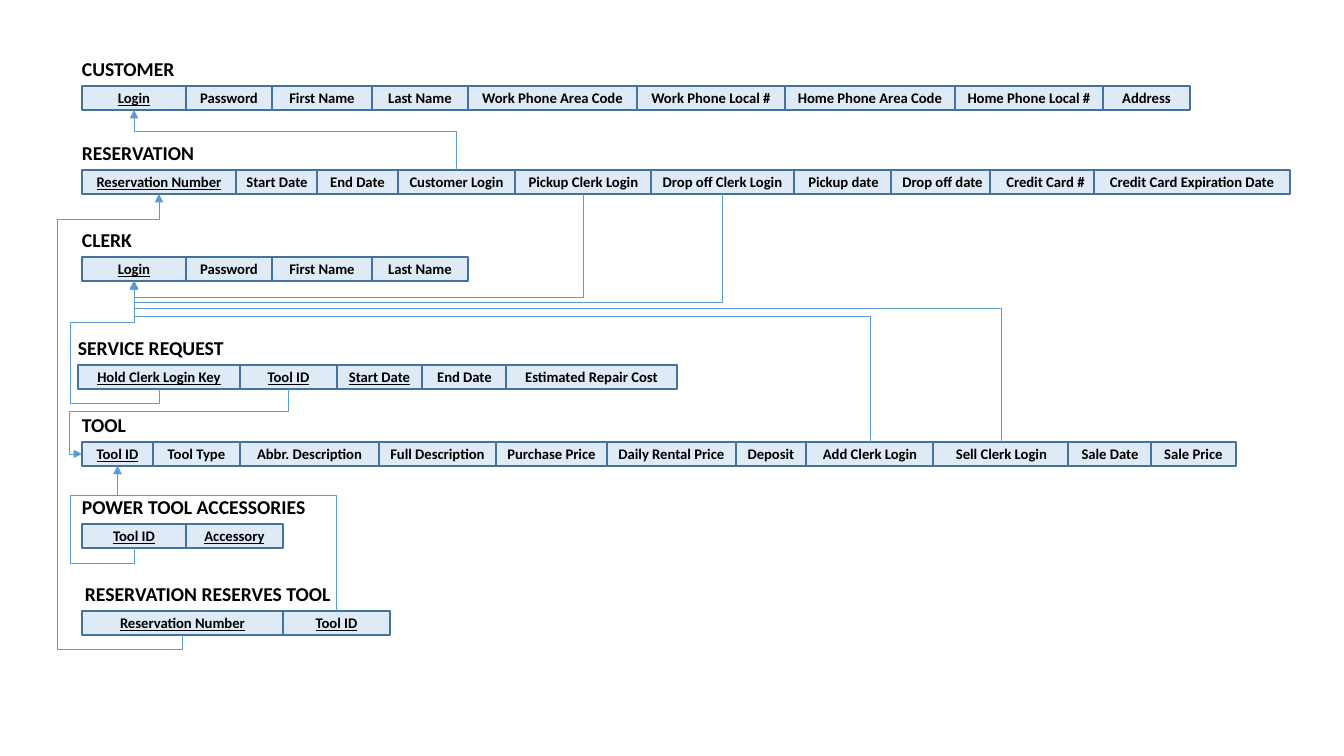
"""Build a relational schema slide for a tool rental database."""
import pptx
import pptx.dml.color
import pptx.enum.shapes
import pptx.enum.text
import pptx.oxml
import pptx.oxml.ns
import pptx.util

PIXEL = 914400 / 100.8
COLORS = {"cell": "DEEBF7", "border": "43739E", "link": "5B9BD5", "text": "000000"}
CELL_HEIGHT, TITLE_RISE, TITLE_HEIGHT = 24, 34, 34
TOP, LEFT, BOTTOM = 0, 1, 2
CELL_FONT = {"name": "Calibri", "size": pptx.util.Pt(10.5), "bold": True}
TITLE_FONT = {"name": "Calibri", "size": pptx.util.Pt(14), "bold": True}
CELL_FRAME = {"margin_left": 0, "margin_right": 0, "margin_top": 0, "margin_bottom": 0,
              "word_wrap": True, "vertical_anchor": pptx.enum.text.MSO_ANCHOR.MIDDLE}
TITLE_FRAME = {"word_wrap": False, "auto_size": pptx.enum.text.MSO_AUTO_SIZE.SHAPE_TO_FIT_TEXT}

TABLES = [
    ("CUSTOMER", 72, 114, 86, 1, [
        ("Login", 82, 104), ("Password", 186, 86), ("First Name", 272, 100),
        ("Last Name", 372, 96), ("Work Phone Area Code", 468, 169),
        ("Work Phone Local #", 637, 148), ("Home Phone Area Code", 785, 170),
        ("Home Phone Local #", 955, 148), ("Address", 1103, 87)]),
    ("RESERVATION", 72, 134, 170, 1, [
        ("Reservation Number", 82, 154), ("Start Date", 236, 82), ("End Date", 317, 81),
        ("Customer Login", 398, 117), ("Pickup Clerk Login", 515, 137),
        ("Drop off Clerk Login", 651, 143), ("Pickup date", 794, 99),
        ("Drop off date", 891, 103), ("Credit Card #", 990, 111),
        ("Credit Card Expiration Date", 1094, 196)]),
    ("CLERK", 72, 71, 257, 1, [
        ("Login", 82, 104), ("Password", 186, 86), ("First Name", 272, 100),
        ("Last Name", 372, 96)]),
    ("SERVICE REQUEST", 68, 167, 365, 3, [
        ("Hold Clerk Login Key", 78, 162), ("Tool ID", 240, 97), ("Start Date", 337, 85),
        ("End Date", 422, 85), ("Estimated Repair Cost", 506, 171)]),
    ("TOOL", 72, 65, 442, 1, [
        ("Tool ID", 82, 71), ("Tool Type", 153, 87), ("Abbr. Description", 240, 139),
        ("Full Description", 379, 117), ("Purchase Price", 496, 111),
        ("Daily Rental Price", 607, 129), ("Deposit", 736, 70),
        ("Add Clerk Login", 806, 128), ("Sell Clerk Login", 933, 137),
        ("Sale Date", 1068, 84), ("Sale Price", 1151, 85)]),
    ("POWER TOOL ACCESSORIES", 72, 246, 524, 2, [
        ("Tool ID", 82, 104), ("Accessory", 186, 97)]),
    ("RESERVATION RESERVES TOOL", 75, 268, 611, 2, [
        ("Reservation Number", 82, 201), ("Tool ID", 283, 107)]),
]

CUSTOMER_KEY = ("CUSTOMER", "Login")
RESERVATION_KEY = ("RESERVATION", "Reservation Number")
CLERK_KEY = ("CLERK", "Login")
TOOL_KEY = ("TOOL", "Tool ID")
LINKS = [
    (("RESERVATION", "Customer Login"), TOP, CUSTOMER_KEY, BOTTOM, [131]),
    (("RESERVATION", "Pickup Clerk Login"), BOTTOM, CLERK_KEY, BOTTOM, [297]),
    (("RESERVATION", "Drop off Clerk Login"), BOTTOM, CLERK_KEY, BOTTOM, [302]),
    (("TOOL", "Add Clerk Login"), TOP, CLERK_KEY, BOTTOM, [316]),
    (("TOOL", "Sell Clerk Login"), TOP, CLERK_KEY, BOTTOM, [308]),
    (("SERVICE REQUEST", "Hold Clerk Login Key"), BOTTOM, CLERK_KEY, BOTTOM, [403, 70, 322]),
    (("SERVICE REQUEST", "Tool ID"), BOTTOM, TOOL_KEY, LEFT, [411, 69]),
    (("POWER TOOL ACCESSORIES", "Tool ID"), BOTTOM, TOOL_KEY, BOTTOM, [564, 70, 495]),
    (("RESERVATION RESERVES TOOL", "Reservation Number"), BOTTOM, RESERVATION_KEY, BOTTOM,
     [649, 57, 219]),
    (("RESERVATION RESERVES TOOL", "Tool ID"), TOP, TOOL_KEY, BOTTOM, [495]),
]


def emu(*pixels):
    return [round(pixel * PIXEL) for pixel in pixels]


def write(box, text, frame_format, font_format):
    for name, value in frame_format.items():
        setattr(box.text_frame, name, value)
    para = box.text_frame.paragraphs[0]
    span = para.add_run()
    span.text = text
    for name, value in font_format.items():
        setattr(span.font, name, value)
    span.font.color.rgb = pptx.dml.color.RGBColor.from_string(COLORS["text"])
    return para


deck = pptx.Presentation()
deck.slide_width, deck.slide_height = emu(1344, 756)
page = deck.slides.add_slide(deck.slide_layouts[6])

cells = {}
for title, title_left, title_width, top, key_count, columns in TABLES:
    box = page.shapes.add_textbox(*emu(title_left, top - TITLE_RISE, title_width, TITLE_HEIGHT))
    write(box, title, TITLE_FRAME, TITLE_FONT)
    for index, (column, left, width) in enumerate(columns):
        cell = page.shapes.add_shape(pptx.enum.shapes.MSO_SHAPE.RECTANGLE,
                                     *emu(left, top, width, CELL_HEIGHT))
        cell.shadow.inherit = False
        cell.fill.solid()
        cell.fill.fore_color.rgb = pptx.dml.color.RGBColor.from_string(COLORS["cell"])
        cell.line.color.rgb = pptx.dml.color.RGBColor.from_string(COLORS["border"])
        cell.line.width = pptx.util.Pt(1)
        para = write(cell, column, CELL_FRAME, {**CELL_FONT, "underline": index < key_count})
        para.alignment = pptx.enum.text.PP_ALIGN.CENTER
        cells[title, column] = cell

for source, source_side, target, target_side, bends in LINKS:
    link = page.shapes.add_connector(pptx.enum.shapes.MSO_CONNECTOR.ELBOW, 0, 0, 0, 0)
    link.begin_connect(cells[source], source_side)
    link.end_connect(cells[target], target_side)
    link.line.color.rgb = pptx.dml.color.RGBColor.from_string(COLORS["link"])
    link.line.width = pptx.util.Pt(0.5)
    start = (link.begin_y, link.begin_x)
    run = (link.end_y - link.begin_y, link.end_x - link.begin_x)
    middle_x, middle_y = start[1] + run[1] / 2, start[0] + run[0] / 2

    properties = link.element.spPr
    frame = properties.find(pptx.oxml.ns.qn("a:xfrm"))
    frame.attrib.clear()
    frame.set("rot", str((90 if run[0] > 0 else 270) * 60000))
    if run[0] < 0:
        frame.set("flipV", "1")
    link.width, link.height = abs(run[0]), abs(run[1])
    link.left, link.top = round(middle_x - link.width / 2), round(middle_y - link.height / 2)

    geometry = properties.find(pptx.oxml.ns.qn("a:prstGeom"))
    geometry.set("prst", f"bentConnector{len(bends) + 2}")
    guides = geometry.find(pptx.oxml.ns.qn("a:avLst"))
    for index, bend in enumerate(emu(*bends)):
        axis = index % 2
        share = round((bend - start[axis]) / run[axis] * 100000)
        guide = pptx.oxml.ns.qn("a:gd")
        guides.append(guides.makeelement(guide, {"name": f"adj{index + 1}", "fmla": f"val {share}"}))

    outline = link.line._get_or_add_ln()
    arrow = pptx.oxml.ns.qn("a:tailEnd")
    outline.append(outline.makeelement(arrow, {"type": "triangle"}))
    properties.append(properties.makeelement(pptx.oxml.ns.qn("a:effectLst"), {}))

deck.save("out.pptx")
